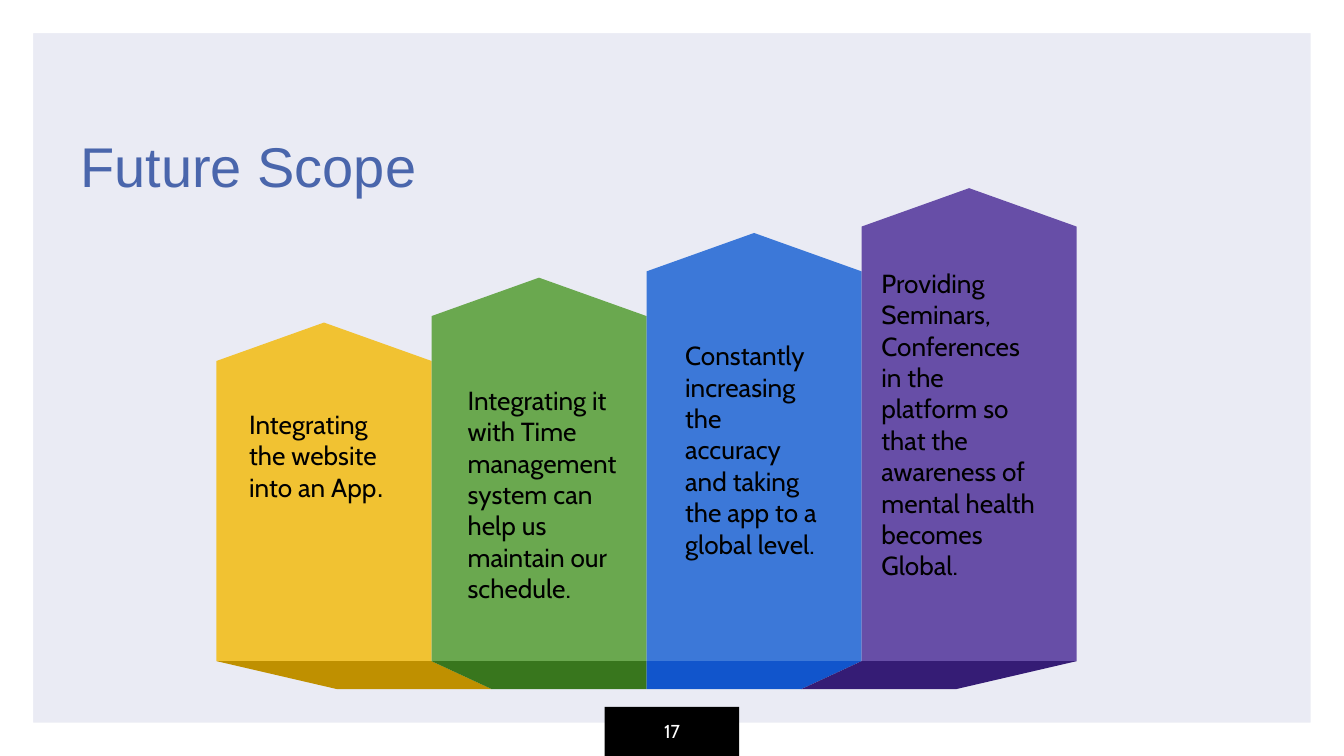
from dataclasses import dataclass

from pptx import Presentation
from pptx.dml.color import RGBColor
from pptx.enum.shapes import MSO_SHAPE as Shape
from pptx.enum.text import MSO_ANCHOR as Anchor, MSO_AUTO_SIZE as AutoSize, PP_ALIGN as Align
from pptx.util import Pt

SLIDE_W, SLIDE_H = 720, 405
BAR_LEFT, BAR_W = 116, 115.2
FIRST_TOP, TOP_STEP, ROOF_H = 172.8, 24, 20.6
BASE_Y, FOOT_Y = 354.2, 369.2
FOOT_LEFT, FOOT_W = 180.6, 82.9

Run = tuple[str, str]
Box = tuple[float, float, float, float]


@dataclass
class Bar:
    colour: str
    foot_colour: str
    text_box: Box
    paragraphs: list[list[Run]]


BARS = [
    Bar("F1C232", "BF9000", (126.4, 215.3, 91.4, 58.3),
        [[("Integrating the website into an App", "Cabin"), (".", "Arial")]]),
    Bar("6AA84F", "38761D", (243.4, 202.3, 101.5, 126),
        [[("Integrating it with Time management system can help us "
           "maintain our schedule.", "Cabin")]]),
    Bar("3C78D8", "1155CC", (360, 178.4, 86.4, 126),
        [[("Constantly increasing the accuracy and taking the app to a "
           "global level.", "Cabin")]]),
    Bar("674EA7", "351C75", (465.1, 139.7, 101.5, 177.1),
        [[("Providing Seminars,", "Cabin")],
         [("Conferences in the platform so that the awareness of mental "
           "health becomes Global.", "Cabin")]]),
]


def rgb(value: str) -> RGBColor:
    return RGBColor.from_string(value)


def paint(sp, colour: str) -> None:
    """Give a shape a flat fill without outline or shadow."""
    sp.shadow.inherit = False
    sp.fill.solid()
    sp.fill.fore_color.rgb = rgb(colour)
    sp.line.fill.background()


def add_shape(s, kind: Shape, box: Box, colour: str):
    sp = s.shapes.add_shape(kind, *map(Pt, box))
    paint(sp, colour)
    return sp


def add_polygon(s, points: list[tuple[float, float]], colour: str) -> None:
    corners = [(Pt(x), Pt(y)) for x, y in points]
    builder = s.shapes.build_freeform(*corners[0])
    builder.add_line_segments(corners[1:], close=True)
    paint(builder.convert_to_shape(), colour)


def write(sp, paragraphs: list[list[Run]], size: float, colour: str,
          align: Align = Align.LEFT, **frame) -> None:
    """Fill a shape with runs; frame holds text frame attributes."""
    tf = sp.text_frame
    for name, value in ({"word_wrap": True} | frame).items():
        setattr(tf, name, value)
    for i, runs in enumerate(paragraphs):
        p = tf.paragraphs[0] if i == 0 else tf.add_paragraph()
        p.alignment = align
        for text, font in runs:
            r = p.add_run()
            r.text = text
            for name, value in {"name": font, "size": Pt(size)}.items():
                setattr(r.font, name, value)
            r.font.color.rgb = rgb(colour)


def add_text(s, box: Box, *args, **kwargs) -> None:
    write(s.shapes.add_textbox(*map(Pt, box)), *args, **kwargs)


def add_bar(s, i: int, bar: Bar) -> None:
    left, top = BAR_LEFT + i * BAR_W, FIRST_TOP - i * TOP_STEP
    right, shoulder = left + BAR_W, top + ROOF_H
    add_polygon(s, [((left + right) / 2, top), (left, shoulder), (left, BASE_Y),
                    (right, BASE_Y), (right, shoulder)], bar.colour)
    foot = FOOT_LEFT + i * FOOT_W
    add_polygon(s, [(left, BASE_Y), (foot, FOOT_Y), (foot + FOOT_W, FOOT_Y),
                    (right, BASE_Y)], bar.foot_colour)


def main() -> None:
    prs = Presentation()
    prs.slide_width, prs.slide_height = Pt(SLIDE_W), Pt(SLIDE_H)
    s = prs.slides.add_slide(prs.slide_layouts[6])
    s.background.fill.solid()
    s.background.fill.fore_color.rgb = rgb("EAEBF4")

    border = add_shape(s, Shape.FRAME, (0, 0, SLIDE_W, SLIDE_H), "FFFFFF")
    border.adjustments[0] = 0.044
    page_tag = add_shape(s, Shape.RECTANGLE, (324, 378.7, 72, 26.3), "000000")
    write(page_tag, [[("17", "Cabin")]], 10, "FFFFFF", Align.CENTER,
          vertical_anchor=Anchor.MIDDLE)
    add_text(s, (36, 46, 405, 67.7), [[("Future Scope", "Arial")]], 30, "4A66AC",
             vertical_anchor=Anchor.BOTTOM, margin_bottom=Pt(7.2))

    for i, bar in enumerate(BARS):
        add_bar(s, i, bar)
    for bar in BARS:
        add_text(s, bar.text_box, bar.paragraphs, 14, "000000",
                 auto_size=AutoSize.SHAPE_TO_FIT_TEXT)

    prs.save("out.pptx")


if __name__ == "__main__":
    main()
